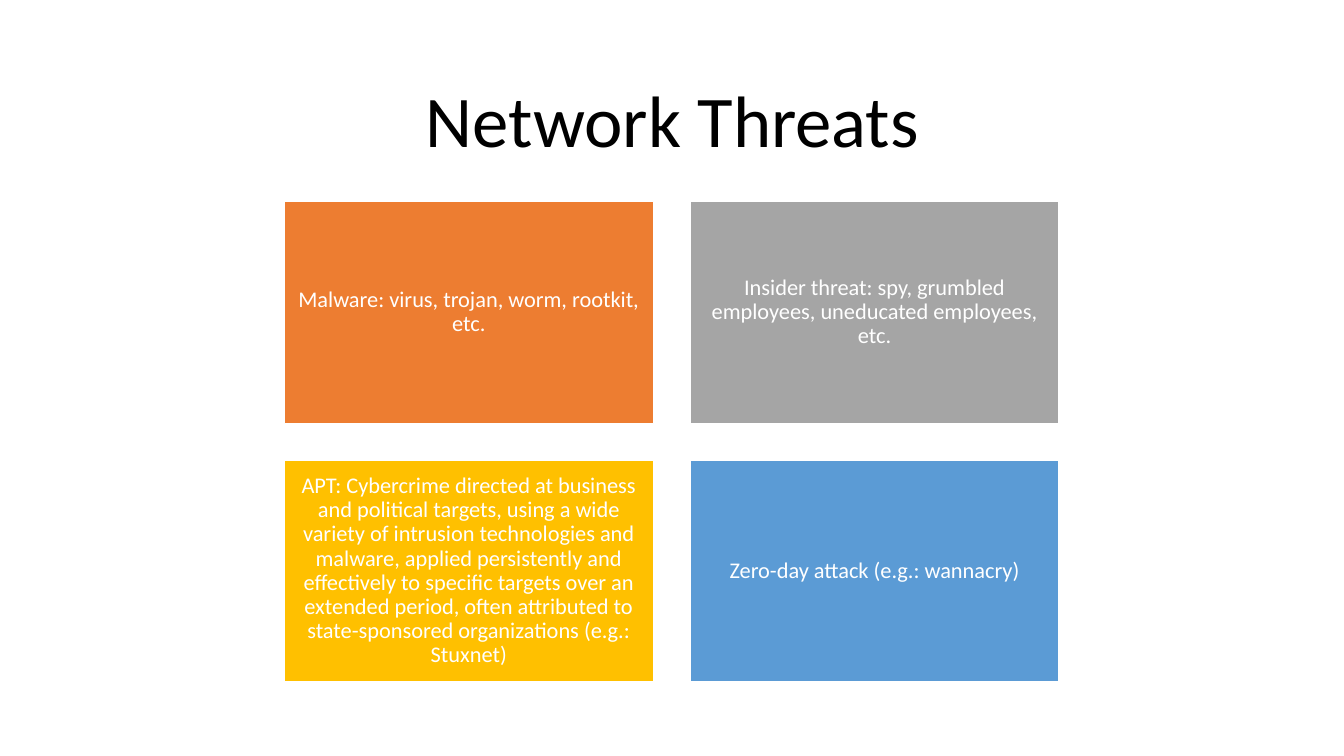
import dataclasses

import pptx
import pptx.dml.color
import pptx.enum.shapes
import pptx.enum.text
import pptx.shapes.autoshape
import pptx.util

Inches = pptx.util.Inches
Points = pptx.util.Pt

FONT = "Calibri"
COLUMNS = 2
CARD_LEFT, CARD_TOP = 2.82, 2.0
CARD_WIDTH, CARD_HEIGHT = 3.66, 2.2
GAP = 0.365
CARD_INSET = 0.07


@dataclasses.dataclass(frozen=True)
class Threat:
    text: str
    fill: str


THREATS = [
    Threat("Malware: virus, trojan, worm, rootkit, etc.", "ED7D31"),
    Threat("Insider threat: spy, grumbled employees, uneducated employees, etc.", "A5A5A5"),
    Threat(
        "APT: Cybercrime directed at business and political targets, using a wide "
        "variety of intrusion technologies and malware, applied persistently and "
        "effectively to specific targets over an extended period, often attributed "
        "to state-sponsored organizations (e.g.: Stuxnet)",
        "FFC000",
    ),
    Threat("Zero-day attack (e.g.: wannacry)", "5B9BD5"),
]


def color(value: str) -> pptx.dml.color.RGBColor:
    return pptx.dml.color.RGBColor.from_string(value)


def write_centered(shape: pptx.shapes.autoshape.Shape, text: str, size: float,
                   text_color: str, frame_format: dict) -> None:
    frame = shape.text_frame
    frame_format = {
        "word_wrap": True,
        "vertical_anchor": pptx.enum.text.MSO_ANCHOR.MIDDLE,
        **frame_format,
    }
    for name, value in frame_format.items():
        setattr(frame, name, value)
    para = frame.paragraphs[0]
    para.alignment = pptx.enum.text.PP_ALIGN.CENTER
    para.line_spacing = 0.9
    span = para.add_run()
    span.text = text
    for name, value in {"name": FONT, "size": Points(size)}.items():
        setattr(span.font, name, value)
    span.font.color.rgb = color(text_color)


def add_card(page: pptx.slide.Slide, threat: Threat, index: int) -> None:
    row, column = divmod(index, COLUMNS)
    card = page.shapes.add_shape(
        pptx.enum.shapes.MSO_SHAPE.RECTANGLE,
        Inches(CARD_LEFT + column * (CARD_WIDTH + GAP)),
        Inches(CARD_TOP + row * (CARD_HEIGHT + GAP)),
        Inches(CARD_WIDTH),
        Inches(CARD_HEIGHT),
    )
    card.shadow.inherit = False
    card.fill.solid()
    card.fill.fore_color.rgb = color(threat.fill)
    card.line.color.rgb = color("FFFFFF")
    card.line.width = Points(1)
    insets = {f"margin_{side}": Inches(CARD_INSET)
              for side in ("left", "top", "right", "bottom")}
    write_centered(card, threat.text, 16, "FFFFFF", insets)


def main() -> None:
    deck = pptx.Presentation()
    deck.slide_width, deck.slide_height = Inches(13.33), Inches(7.5)
    page = deck.slides.add_slide(deck.slide_layouts[6])
    title = page.shapes.add_textbox(Inches(0.92), Inches(0.61), Inches(11.5), Inches(1.24))
    write_centered(title, "Network Threats", 52, "000000", {})
    for index, threat in enumerate(THREATS):
        add_card(page, threat, index)
    deck.save("out.pptx")


if __name__ == "__main__":
    main()
